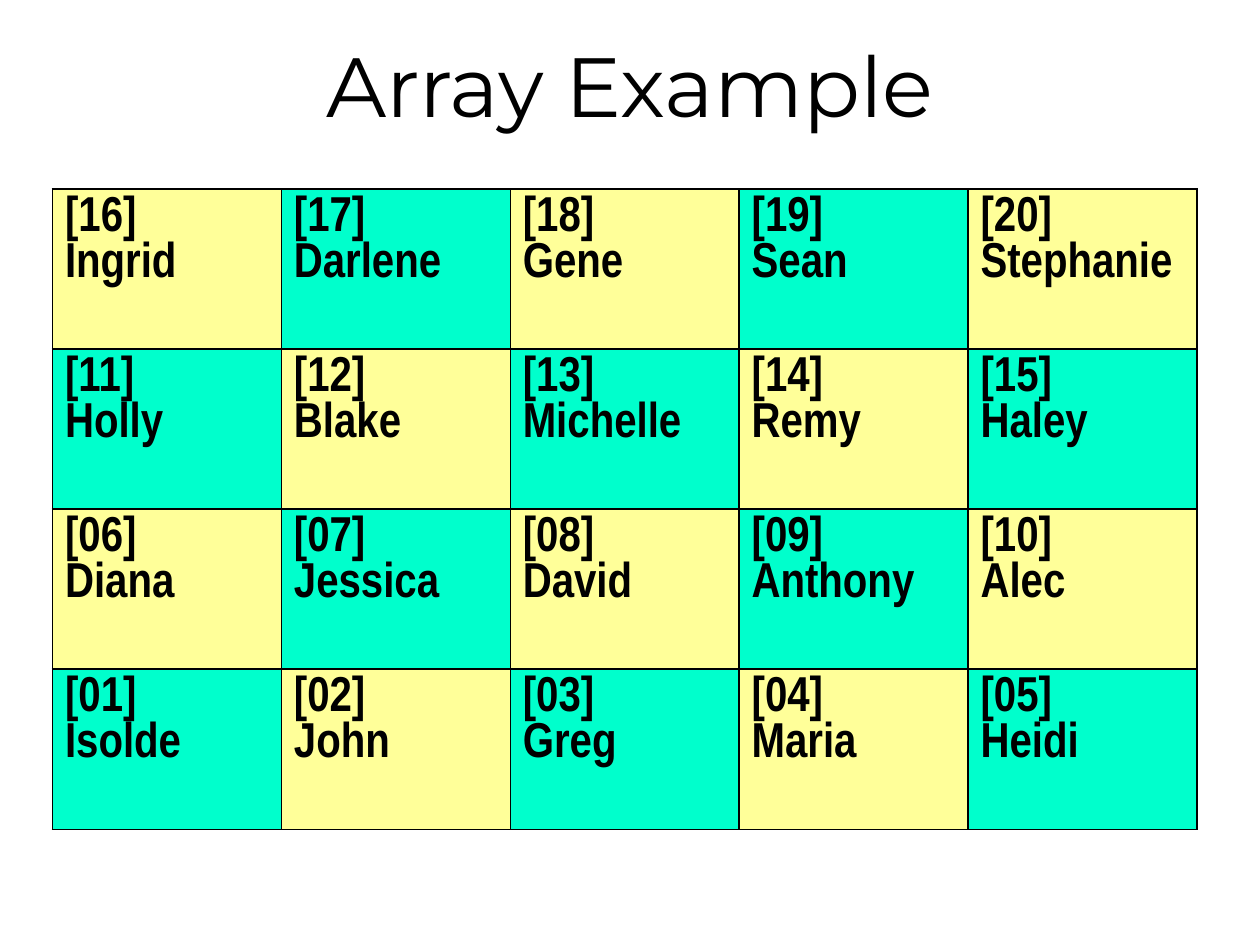
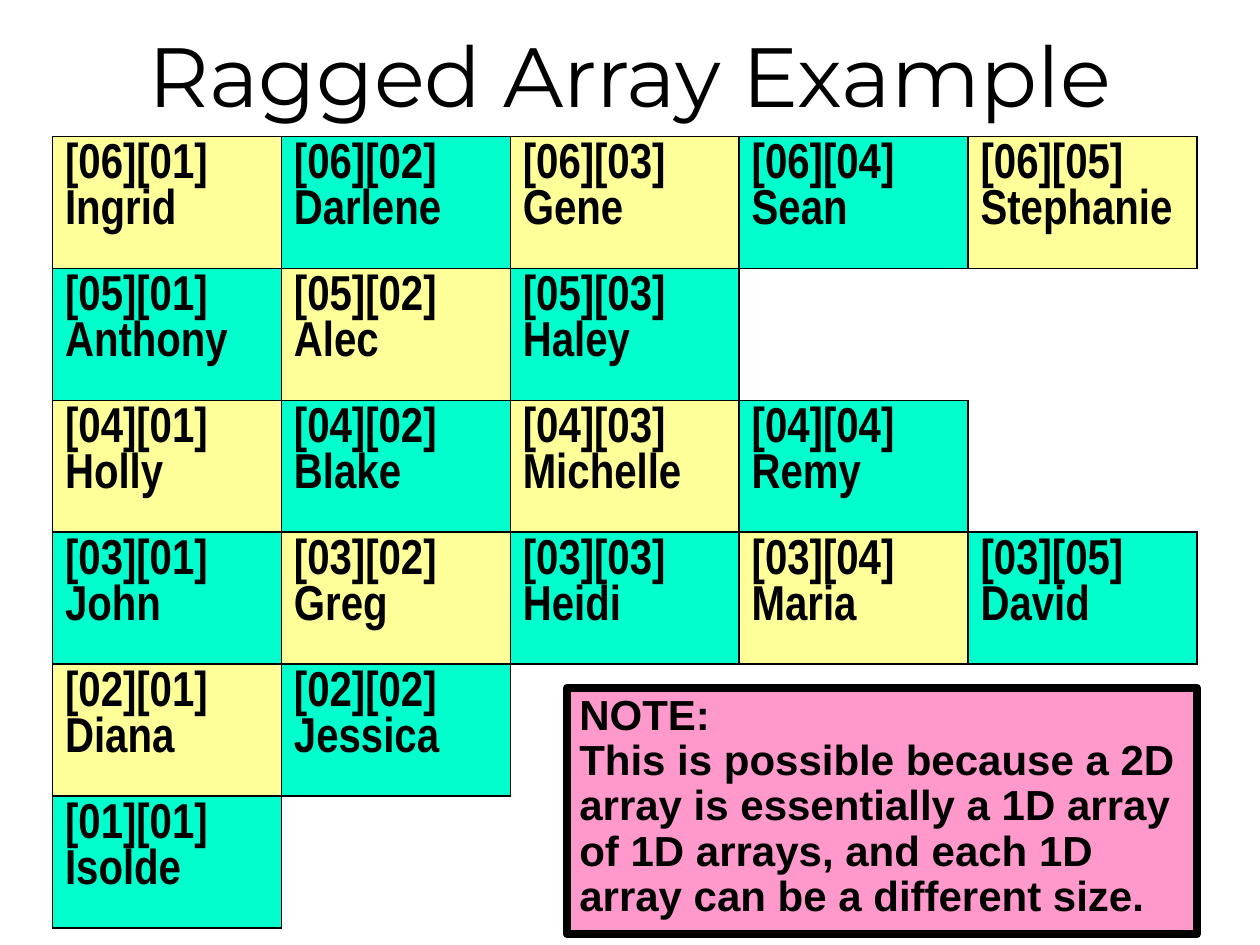
from lxml.etree import SubElement
from pptx import Presentation
from pptx.dml.color import RGBColor
from pptx.enum.shapes import MSO_SHAPE
from pptx.enum.text import MSO_ANCHOR, PP_ALIGN
from pptx.oxml.ns import qn
from pptx.util import Pt

BLACK = RGBColor(0x00, 0x00, 0x00)
YELLOW = RGBColor(0xFF, 0xFF, 0x99)
TEAL = RGBColor(0x00, 0xFF, 0xCC)
PINK = RGBColor(0xFF, 0x99, 0xCC)

TITLE_FONT = {"name": "Montserrat", "size": Pt(48)}
CELL_FONT = {"name": "Arial Narrow", "size": Pt(28), "bold": True}
NOTE_FONT = {"name": "Arial", "size": Pt(24), "bold": True}

PLAIN_TABLE = "{2D5ABB26-0587-4C30-8999-92F81FD0307C}"
SLIDE_WIDTH, SLIDE_HEIGHT = 720, 540
GRID_LEFT, GRID_WIDTH, GRID_COLUMNS = 30, 654, 5

ARRAY_ROWS = [
    ["Ingrid", "Darlene", "Gene", "Sean", "Stephanie"],
    ["Holly", "Blake", "Michelle", "Remy", "Haley"],
    ["Diana", "Jessica", "David", "Anthony", "Alec"],
    ["Isolde", "John", "Greg", "Maria", "Heidi"],
]
RAGGED_ROWS = [
    ["Ingrid", "Darlene", "Gene", "Sean", "Stephanie"],
    ["Anthony", "Alec", "Haley"],
    ["Holly", "Blake", "Michelle", "Remy"],
    ["John", "Greg", "Heidi", "Maria", "David"],
    ["Diana", "Jessica"],
    ["Isolde"],
]
NOTE = [
    "NOTE:",
    "This is possible because a 2D array is essentially a 1D array of 1D arrays, "
    "and each 1D array can be a different size.",
]


class Deck:
    """Draws titles, name grids and notes in one style on the current slide."""

    def __init__(self):
        self.presentation = Presentation()
        self.presentation.slide_width = Pt(SLIDE_WIDTH)
        self.presentation.slide_height = Pt(SLIDE_HEIGHT)
        self.slide = None

    def add_slide(self):
        self.slide = self.presentation.slides.add_slide(self.presentation.slide_layouts[6])

    def set_text(self, frame, lines, font, **paragraph_format):
        frame.word_wrap = True
        frame.text = "\n".join(lines)
        for paragraph in frame.paragraphs:
            for attribute, value in paragraph_format.items():
                setattr(paragraph, attribute, value)
            for run in paragraph.runs:
                for attribute, value in font.items():
                    setattr(run.font, attribute, value)
                run.font.color.rgb = BLACK

    def title(self, text, height):
        heading = self.slide.shapes.add_textbox(0, 0, Pt(SLIDE_WIDTH), Pt(height))
        heading.text_frame.vertical_anchor = MSO_ANCHOR.MIDDLE
        self.set_text(heading.text_frame, [text], TITLE_FONT, alignment=PP_ALIGN.CENTER)

    def outline(self, cell):
        properties = cell._tc.get_or_add_tcPr()
        for position, side in enumerate(("a:lnL", "a:lnR", "a:lnT", "a:lnB")):
            edge = properties.makeelement(qn(side), {"w": str(Pt(1))})
            fill = SubElement(edge, qn("a:solidFill"))
            SubElement(fill, qn("a:srgbClr"), val=str(BLACK))
            properties.insert(position, edge)

    def name_grid(self, rows, top, height, index_label):
        grid = self.slide.shapes.add_table(
            len(rows), GRID_COLUMNS, Pt(GRID_LEFT), Pt(top), Pt(GRID_WIDTH), Pt(height)
        ).table
        grid.first_row = grid.horz_banding = False
        grid._tbl.tblPr.find(qn("a:tableStyleId")).text = PLAIN_TABLE
        for column in grid.columns:
            column.width = Pt(GRID_WIDTH / GRID_COLUMNS)
        for row_index, names in enumerate(rows):
            grid.rows[row_index].height = Pt(height / len(rows))
            for column_index in range(GRID_COLUMNS):
                cell = grid.cell(row_index, column_index)
                if column_index >= len(names):
                    cell.fill.background()
                    continue
                cell.fill.solid()
                cell.fill.fore_color.rgb = (YELLOW, TEAL)[(row_index + column_index) % 2]
                label = index_label(len(rows) - row_index, column_index + 1)
                self.set_text(cell.text_frame, [label, names[column_index]], CELL_FONT)
                self.outline(cell)

    def note(self, lines, left, top, width, height):
        box = self.slide.shapes.add_shape(
            MSO_SHAPE.RECTANGLE, Pt(left), Pt(top), Pt(width), Pt(height)
        )
        box.shadow.inherit = False
        box.fill.solid()
        box.fill.fore_color.rgb = PINK
        box.line.color.rgb = BLACK
        box.line.width = Pt(4.5)
        box.text_frame.vertical_anchor = MSO_ANCHOR.TOP
        self.set_text(box.text_frame, lines, NOTE_FONT, alignment=PP_ALIGN.LEFT, line_spacing=0.9)


def flat_index(row, column):
    return f"[{(row - 1) * GRID_COLUMNS + column:02}]"


def ragged_index(row, column):
    return f"[{row:02}][{column:02}]"


def main():
    deck = Deck()

    deck.add_slide()
    deck.title("Array Example", 96)
    deck.name_grid(ARRAY_ROWS, 108, 366, flat_index)

    deck.add_slide()
    deck.title("Ragged Array Example", 84)
    deck.name_grid(RAGGED_ROWS, 78, 452.4, ragged_index)
    deck.note(NOTE, 324, 393, 360, 141)

    deck.presentation.save("out.pptx")


if __name__ == "__main__":
    main()
